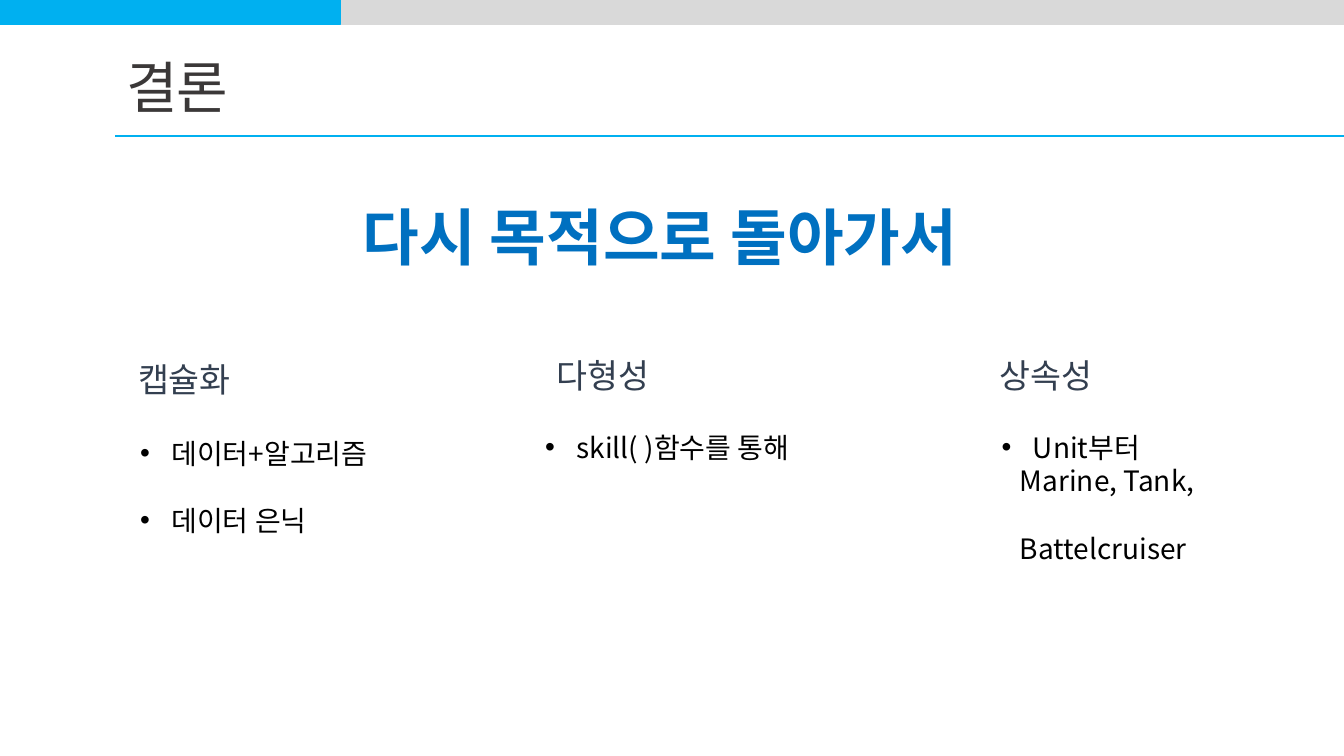
"""Build the conclusion slide with three object-oriented concepts."""
from lxml import etree
from pptx import Presentation
from pptx.dml.color import RGBColor
from pptx.enum.shapes import MSO_CONNECTOR, MSO_SHAPE
from pptx.enum.text import MSO_ANCHOR, MSO_AUTO_SIZE, PP_ALIGN
from pptx.oxml.ns import qn
from pptx.util import Cm, Pt

RECTANGLE, STRAIGHT = MSO_SHAPE.RECTANGLE, MSO_CONNECTOR.STRAIGHT
TOP, NO_FIT = MSO_ANCHOR.TOP, MSO_AUTO_SIZE.NONE
LEFT, CENTER = PP_ALIGN.LEFT, PP_ALIGN.CENTER

TITLE = "결론"
HEADLINE = "다시 목적으로 돌아가서"
CONCEPTS = [
    {"heading": "캡슐화", "heading_at": (3.23, 8.92), "body_at": (3.23, 10.87),
     "bullets": ["데이터+알고리즘", "데이터 은닉"], "followers": []},
    {"heading": "다형성", "heading_at": (13.77, 8.81), "body_at": (13.44, 10.72),
     "bullets": ["skill( )함수를 통해"], "followers": []},
    {"heading": "상속성", "heading_at": (24.94, 8.81), "body_at": (24.94, 10.72),
     "bullets": ["Unit부터"], "followers": ["Marine, Tank,", "Battelcruiser"]},
]

PAGE_WIDTH, PAGE_HEIGHT = 33.87, 19.05
BAND_HEIGHT = 0.61
BANDS = [(7.62, PAGE_WIDTH - 7.62, "band"), (0, 8.59, "accent")]
RULE_LEFT, RULE_TOP = 2.9, 3.43
HEADING_SIZE = (4.04, 1.27)
BODY_WIDTH, BODY_LINE = 7.32, 0.85
BULLET_INDENT, FOLLOWER_INDENT = 0.79, 0.46

THEME = {
    "font": "Noto Sans CJK KR",
    "accent": RGBColor.from_string("00B0F0"),
    "band": RGBColor.from_string("D9D9D9"),
    "title": {"size": Pt(40), "bold": False, "color": "3B3838"},
    "headline": {"size": Pt(44), "bold": True, "color": "0070C0"},
    "heading": {"size": Pt(24), "bold": False, "color": "333F50"},
    "body": {"size": Pt(20), "bold": False, "color": "000000"},
    "rule_width": Pt(1.5),
    "band_width": Pt(1),
    "line_gap": Pt(24),
}


def apply(target, values):
    """Set every named attribute on the target."""
    for name, value in values.items():
        setattr(target, name, value)


def place(box, left, top, width, height):
    """Move and size a box in centimetres."""
    apply(box, {"left": Cm(left), "top": Cm(top),
                "width": Cm(width), "height": Cm(height)})


def write(para, text, style, align=LEFT):
    """Add one styled span to a paragraph."""
    para.alignment = align
    span = para.add_run()
    span.text = text
    look = THEME[style]
    apply(span.font, {"name": THEME["font"], "size": look["size"], "bold": look["bold"]})
    span.font.color.rgb = RGBColor.from_string(look["color"])
    properties = span.font._element
    etree.SubElement(properties, qn("a:ea"), typeface=THEME["font"])
    return properties


def indent(para, margin, bulleted):
    """Indent a paragraph, hanging a round bullet if wanted."""
    properties = para._p.get_or_add_pPr()
    properties.set("marL", str(Cm(margin)))
    properties.set("indent", str(-Cm(margin) if bulleted else 0))
    if bulleted:
        etree.SubElement(properties, qn("a:buFont"), typeface="Arial")
        etree.SubElement(properties, qn("a:buChar"), char="•")


def add_text_box(page, left, top, width, height):
    """Add a wrapping text box and return its frame."""
    frame = page.shapes.add_textbox(Cm(left), Cm(top), Cm(width), Cm(height)).text_frame
    frame.word_wrap = True
    return frame


def add_title(page):
    """Format the title placeholder."""
    box = page.shapes.title
    place(box, -5.03, 1.19, 19, 1.96)
    apply(box.text_frame, {"vertical_anchor": TOP, "auto_size": NO_FIT, "word_wrap": True})
    write(box.text_frame.paragraphs[0], TITLE, "title", CENTER).set("spc", "-150")


def add_frame(page):
    """Draw the rule below the title and the bands at the top."""
    rule = page.shapes.add_connector(
        STRAIGHT, Cm(RULE_LEFT), Cm(RULE_TOP), Cm(PAGE_WIDTH), Cm(RULE_TOP))
    rule.line.color.rgb = THEME["accent"]
    rule.line.width = THEME["rule_width"]
    etree.SubElement(rule._element.spPr, qn("a:effectLst"))
    for left, width, color in BANDS:
        band = page.shapes.add_shape(RECTANGLE, Cm(left), 0, Cm(width), Cm(BAND_HEIGHT))
        band.shadow.inherit = False
        band.fill.solid()
        band.fill.fore_color.rgb = THEME[color]
        band.line.color.rgb = THEME[color]
        band.line.width = THEME["band_width"]


def add_concept(page, concept):
    """Add a heading with its bullets and the lines that follow them."""
    heading = add_text_box(page, *concept["heading_at"], *HEADING_SIZE)
    write(heading.paragraphs[0], concept["heading"], "heading")

    lines = [(text, BULLET_INDENT, True) for text in concept["bullets"]]
    lines += [(text, FOLLOWER_INDENT, False) for text in concept["followers"]]
    height = BODY_LINE * (2 * len(concept["bullets"]) - 1 + len(concept["followers"])) + 0.25
    body = add_text_box(page, *concept["body_at"], BODY_WIDTH, height)
    body.margin_left = Cm(0.3)
    for index, (text, margin, bulleted) in enumerate(lines):
        para = body.add_paragraph() if index else body.paragraphs[0]
        write(para, text, "body")
        if index and (bulleted or index > 1):
            para.space_before = THEME["line_gap"]
        indent(para, margin, bulleted)


def main():
    """Build and save the deck."""
    deck = Presentation()
    apply(deck, {"slide_width": Cm(PAGE_WIDTH), "slide_height": Cm(PAGE_HEIGHT)})
    page = deck.slides.add_slide(deck.slide_layouts[5])
    add_title(page)
    add_frame(page)
    headline = add_text_box(page, 8.89, 4.9, 17.3, 2.13)
    write(headline.paragraphs[0], HEADLINE, "headline")
    for concept in CONCEPTS:
        add_concept(page, concept)
    deck.save("out.pptx")


if __name__ == "__main__":
    main()
